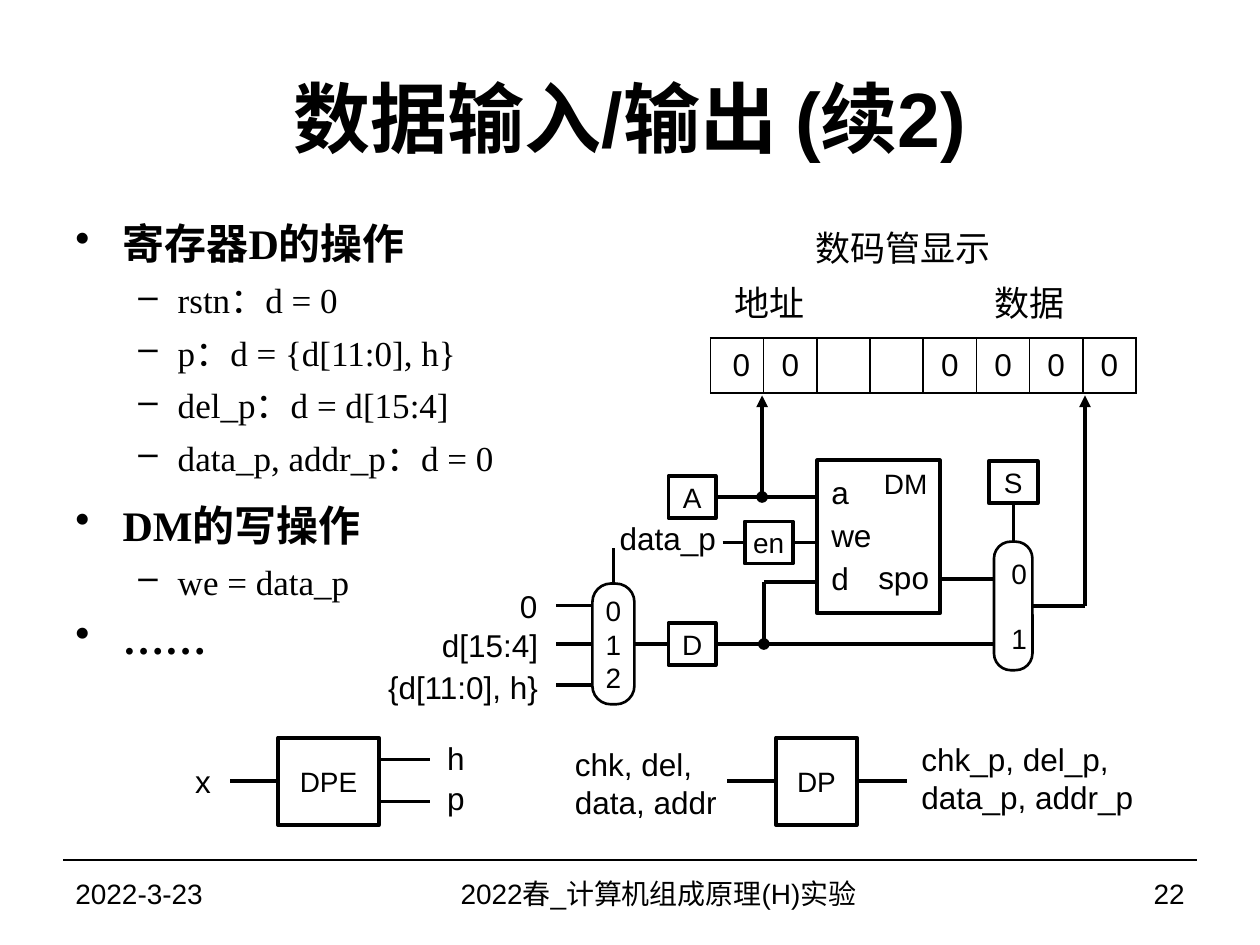
"""Build the slide on data input and output for the lab course."""
from dataclasses import dataclass
from typing import Optional

from lxml import etree
from pptx import Presentation
from pptx.dml.color import RGBColor
from pptx.enum.shapes import MSO_CONNECTOR, MSO_SHAPE
from pptx.enum.text import MSO_ANCHOR, PP_ALIGN
from pptx.oxml.ns import qn
from pptx.util import Pt

LEFT, CENTER, RIGHT = PP_ALIGN.LEFT, PP_ALIGN.CENTER, PP_ALIGN.RIGHT
TOP, MIDDLE = MSO_ANCHOR.TOP, MSO_ANCHOR.MIDDLE
RECT, ROUNDED = MSO_SHAPE.RECTANGLE, MSO_SHAPE.ROUNDED_RECTANGLE
STRAIGHT = MSO_CONNECTOR.STRAIGHT
SITE_TOP, SITE_LEFT, SITE_BOTTOM, SITE_RIGHT = range(4)
INSET_X, INSET_Y = 7.2, 3.6


@dataclass(frozen=True)
class Theme:
    ink: RGBColor = RGBColor(0, 0, 0)
    paper: RGBColor = RGBColor(255, 255, 255)
    sans: str = "Arial"
    serif: str = "Times New Roman"
    title: float = 44
    heading: float = 24
    detail: float = 20
    label: float = 18
    small: float = 16
    thick: float = 2.25
    medium: float = 1.5
    thin: float = 0.75


THEME = Theme()


@dataclass(frozen=True)
class Label:
    text: str
    area: tuple
    size: float = THEME.label
    align: PP_ALIGN = LEFT
    font: str = THEME.sans
    bold: bool = False
    padded: bool = False
    wrap: bool = True
    spacing: Optional[float] = None


@dataclass(frozen=True)
class Block:
    name: str
    area: tuple
    text: str = ""
    align: PP_ALIGN = CENTER
    anchor: MSO_ANCHOR = MIDDLE
    padded: bool = False


@dataclass(frozen=True)
class Mux:
    name: str
    area: tuple
    inputs: tuple
    before: tuple
    after: float
    wrap: bool


@dataclass(frozen=True)
class Wire:
    start: tuple
    end: tuple
    weight: float = THEME.thick
    head: str = ""
    tail: str = ""
    source: Optional[tuple] = None
    target: Optional[tuple] = None


@dataclass(frozen=True)
class Bullet:
    text: str
    level: int = 1
    before: float = 6


TITLE = Label("数据输入/输出 (续2)", (36, 21.6, 648, 90), THEME.title, CENTER, bold=True, padded=True)
FOOTERS = (
    Label("2022-3-23", (36, 492, 168, 37), THEME.small, padded=True),
    Label("2022春_计算机组成原理(H)实验 ", (204, 492, 348, 37), THEME.small, CENTER, padded=True),
    Label("22", (558, 492, 126, 37), THEME.small, RIGHT, padded=True),
)
DISPLAY_LABELS = tuple(
    Label(text, area, THEME.detail, CENTER, THEME.serif, padded=True)
    for text, area in (
        ("数码管显示", (445, 125.5, 142.5, 31.5)),
        ("地址", (405.5, 157, 68.5, 31.5)),
        ("数据", (556, 157, 65, 31.5)),
    )
)
PORT_LABELS = (
    Label("a", (475, 270, 10, 22), wrap=False),
    Label("we", (475, 294.5, 23, 22), wrap=False),
    Label("d", (475, 319.5, 10, 22), wrap=False),
    Label("spo", (494, 309.5, 44, 33), align=RIGHT, padded=True, spacing=29),
    Label("data_p", (347, 293, 70, 29), padded=True, wrap=False),
    Label("0", (233.5, 334, 73.5, 24.5), align=RIGHT),
    Label("d[15:4]", (234, 356.5, 73.5, 24.5), align=RIGHT),
    Label("{d[11:0], h}", (214, 380, 93.5, 24.5), align=RIGHT),
    Label("x", (111.5, 435.5, 9.5, 22), wrap=False),
    Label("h", (255.5, 422, 10, 22), wrap=False),
    Label("p", (255.5, 445, 10, 22), wrap=False),
    Label("chk, del, data, addr", (328.5, 425.5, 92, 44)),
    Label("chk_p, del_p, data_p, addr_p", (526.5, 422.5, 134, 44)),
)
BLOCKS = (
    Block("DM", (467, 263, 70, 87.5), "DM", RIGHT, TOP, True),
    Block("A", (382, 272, 27, 24), "A"),
    Block("D", (382, 356, 27, 24), "D"),
    Block("S", (565, 263.5, 28, 24), "S"),
    Block("en", (425.5, 298, 27.5, 24), "en"),
    Block("DP", (443.5, 421.5, 46, 50), "DP"),
    Block("DPE", (159, 421.5, 57.5, 50), "DPE"),
)
MUXES = (
    Mux("d_mux", (338.5, 333.5, 24, 69), ("0", "1", "2"), (0, 0, 0), 0, False),
    Mux("show_mux", (568, 309.5, 22, 73.5), ("0", "1"), (6, 12), 6, True),
)
WIRES = (
    Wire((36, 491.5), (684, 491.5), THEME.thin),
    Wire((409, 284), (436, 284), source=("A", SITE_RIGHT)),
    Wire((436, 284), (467, 284)),
    Wire((435.5, 284), (435.5, 226), head="oval", tail="triangle"),
    Wire((413, 310), (425.5, 310), THEME.medium, target=("en", SITE_LEFT)),
    Wire((453, 310), (467, 310), THEME.medium, source=("en", SITE_RIGHT)),
    Wire((436.5, 368), (436.5, 332.5), head="oval"),
    Wire((436.5, 332.5), (467, 332.5)),
    Wire((409, 368), (568, 368), source=("D", SITE_RIGHT)),
    Wire((537, 331), (568, 331)),
    Wire((579, 309.5), (579, 287.5), THEME.medium, source=("show_mux", SITE_TOP), target=("S", SITE_BOTTOM)),
    Wire((590, 346.25), (620, 346.25), source=("show_mux", SITE_RIGHT)),
    Wire((620, 226), (620, 346.25), head="triangle"),
    Wire((350.5, 333.5), (350.5, 313), THEME.medium, source=("d_mux", SITE_TOP)),
    Wire((318, 346), (338.5, 346)),
    Wire((318, 368), (338.5, 368), target=("d_mux", SITE_LEFT)),
    Wire((318, 391.5), (338.5, 391.5)),
    Wire((362.5, 368), (382, 368), source=("d_mux", SITE_RIGHT), target=("D", SITE_LEFT)),
    Wire((415.5, 446.5), (443.5, 446.5), target=("DP", SITE_LEFT)),
    Wire((489.5, 446.5), (518.5, 446.5), source=("DP", SITE_RIGHT)),
    Wire((131.5, 446.5), (159, 446.5), target=("DPE", SITE_LEFT)),
    Wire((216.5, 434), (245.5, 434)),
    Wire((216.5, 458), (245.5, 458), THEME.medium),
)
BULLETS = (
    Bullet("寄存器D的操作", 0),
    Bullet("rstn：d = 0"),
    Bullet("p：d = {d[11:0], h}"),
    Bullet("del_p：d = d[15:4]"),
    Bullet("data_p, addr_p：d = 0"),
    Bullet("DM的写操作", 0, 12),
    Bullet("we = data_p"),
    Bullet("……", 0),
)
DIGITS = (" 0", "0", "", "", "0", "0", "0", "0")


def points(values: tuple) -> list:
    """Turn plain numbers into lengths."""
    return [Pt(value) for value in values]


def style(paragraph, size: float, font: str = THEME.sans, bold: bool = False, align=LEFT) -> None:
    """Set the font and alignment of a paragraph."""
    paragraph.alignment = align
    paragraph.font.size, paragraph.font.name, paragraph.font.bold = Pt(size), font, bold
    paragraph.font.color.rgb = THEME.ink


def set_frame(frame, padded: bool, wrap: bool, anchor=MIDDLE) -> None:
    """Set the insets, wrapping and anchor of a text frame."""
    frame.margin_left = frame.margin_right = Pt(INSET_X if padded else 0)
    frame.margin_top = frame.margin_bottom = Pt(INSET_Y if padded else 0)
    frame.word_wrap, frame.vertical_anchor = wrap, anchor


def draw_label(slide, label: Label) -> None:
    """Draw one line of free text."""
    frame = slide.shapes.add_textbox(*points(label.area)).text_frame
    set_frame(frame, label.padded, label.wrap)
    frame.text = label.text
    style(frame.paragraphs[0], label.size, label.font, label.bold, label.align)
    if label.spacing:
        frame.paragraphs[0].line_spacing = Pt(label.spacing)


def draw_block(slide, block: Block):
    """Draw a register or module outline."""
    outline = slide.shapes.add_shape(RECT, *points(block.area))
    outline.shadow.inherit = False
    outline.fill.background()
    outline.line.color.rgb, outline.line.width = THEME.ink, Pt(THEME.thick)
    set_frame(outline.text_frame, block.padded, block.padded, block.anchor)
    outline.text_frame.text = block.text
    style(outline.text_frame.paragraphs[0], THEME.small, align=block.align)
    return outline


def draw_mux(slide, mux: Mux):
    """Draw a multiplexer with its numbered inputs."""
    body = slide.shapes.add_shape(ROUNDED, *points(mux.area))
    body.adjustments[0] = 0.44
    body.shadow.inherit = False
    body.fill.solid()
    body.fill.fore_color.rgb = THEME.paper
    body.line.color.rgb, body.line.width = THEME.ink, Pt(THEME.medium)
    set_frame(body.text_frame, True, mux.wrap)
    body.text_frame.text = "\n".join(mux.inputs)
    for paragraph, before in zip(body.text_frame.paragraphs, mux.before):
        style(paragraph, THEME.small, align=CENTER)
        paragraph.space_before, paragraph.space_after = Pt(before), Pt(mux.after)
    return body


def draw_wire(slide, wire: Wire, parts: dict) -> None:
    """Draw a wire and join it to the parts it touches."""
    line = slide.shapes.add_connector(STRAIGHT, *points(wire.start + wire.end))
    line.line.color.rgb, line.line.width = THEME.ink, Pt(wire.weight)
    for tag, kind in (("a:headEnd", wire.head), ("a:tailEnd", wire.tail)):
        if kind:
            etree.SubElement(line.line._get_or_add_ln(), qn(tag), type=kind)
    etree.SubElement(line._element.spPr, qn("a:effectLst"))
    for end, join in ((wire.source, line.begin_connect), (wire.target, line.end_connect)):
        if end:
            join(parts[end[0]], end[1])


def draw_bullets(slide, bullets: tuple) -> None:
    """Draw the two-level list of operations."""
    frame = slide.shapes.add_textbox(*points((36, 121, 296, 271.5))).text_frame
    set_frame(frame, True, True, TOP)
    frame.text = "\n".join(bullet.text for bullet in bullets)
    for paragraph, bullet in zip(frame.paragraphs, bullets):
        top = bullet.level == 0
        style(paragraph, THEME.heading if top else THEME.detail, THEME.serif, top)
        paragraph.level, paragraph.space_before = bullet.level, Pt(bullet.before)
        properties = paragraph._p.get_or_add_pPr()
        margin, hang = (27, 27) if top else (58.5, 22.5)
        properties.set("marL", str(Pt(margin)))
        properties.set("indent", str(-Pt(hang)))
        mark = etree.Element(qn("a:buChar"), char="•" if top else "–")
        properties.find(qn("a:defRPr")).addprevious(mark)


def draw_display(slide, digits: tuple) -> None:
    """Draw the row of display digits."""
    table = slide.shapes.add_table(1, len(digits), *points((406, 193, 243.2, 31.7))).table
    table.first_row = table.horz_banding = False
    for column, digit in enumerate(digits):
        table.columns[column].width = Pt(30.4)
        cell = table.cell(0, column)
        cell.margin_left = cell.margin_right = cell.margin_top = cell.margin_bottom = 0
        cell.vertical_anchor = MIDDLE
        cell.text = digit
        style(cell.text_frame.paragraphs[0], THEME.label, align=CENTER)
        for side in ("a:lnL", "a:lnR", "a:lnT", "a:lnB"):
            edge = etree.SubElement(cell._tc.get_or_add_tcPr(), qn(side), w=str(Pt(1)))
            ink = etree.SubElement(edge, qn("a:solidFill"))
            etree.SubElement(ink, qn("a:srgbClr"), val=str(THEME.ink))
        cell.fill.solid()
        cell.fill.fore_color.rgb = THEME.paper


def main() -> None:
    """Assemble and save the slide."""
    deck = Presentation()
    deck.slide_width, deck.slide_height = Pt(720), Pt(540)
    slide = deck.slides.add_slide(deck.slide_layouts[6])
    draw_label(slide, TITLE)
    draw_bullets(slide, BULLETS)
    draw_display(slide, DIGITS)
    parts = {mux.name: draw_mux(slide, mux) for mux in MUXES}
    parts.update({block.name: draw_block(slide, block) for block in BLOCKS})
    for wire in WIRES:
        draw_wire(slide, wire, parts)
    for label in DISPLAY_LABELS + PORT_LABELS + FOOTERS:
        draw_label(slide, label)
    deck.save("out.pptx")


if __name__ == "__main__":
    main()
